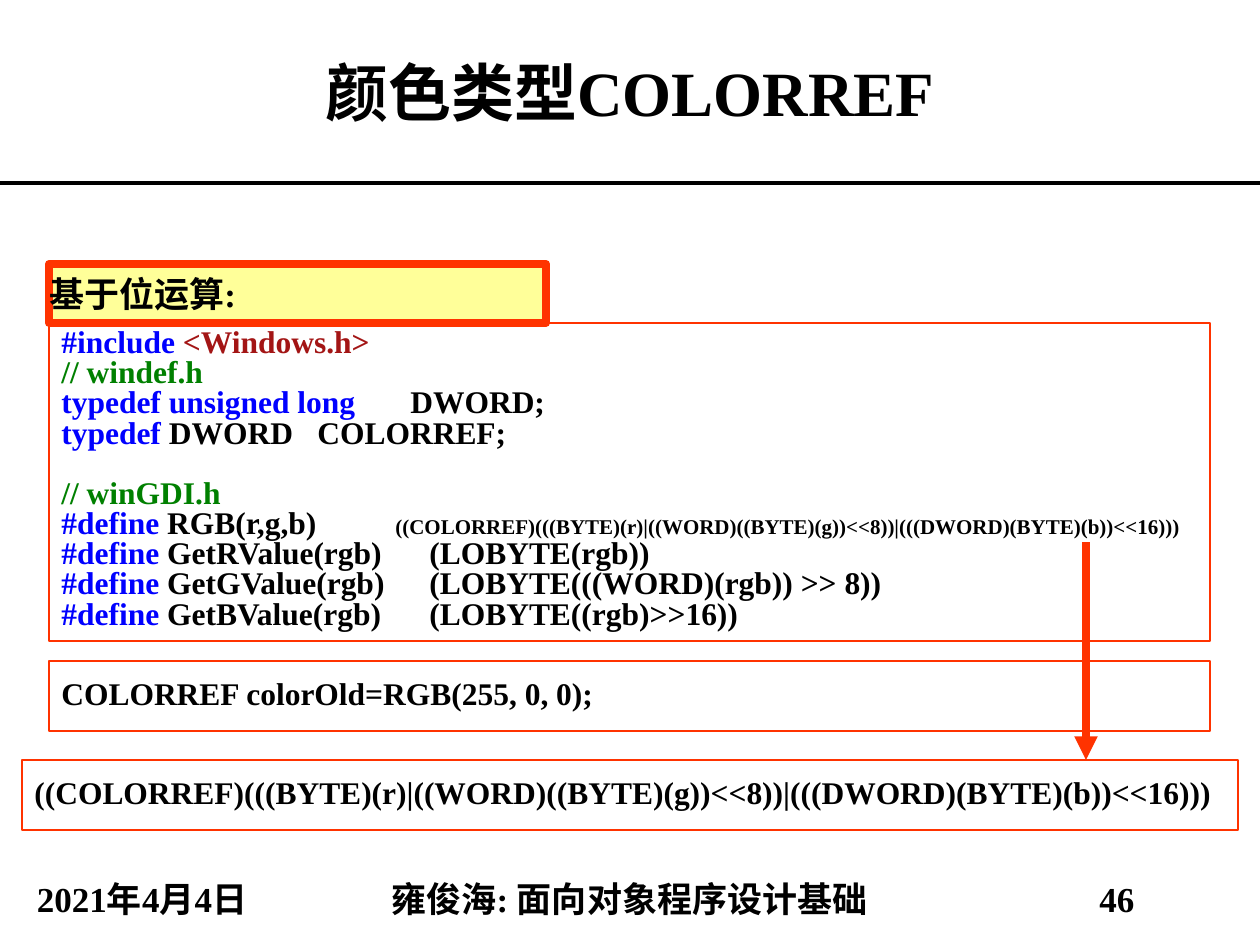
from pptx import Presentation
from pptx.dml.color import RGBColor
from pptx.enum.shapes import MSO_CONNECTOR, MSO_SHAPE
from pptx.enum.text import MSO_ANCHOR, PP_ALIGN
from pptx.oxml.ns import qn
from pptx.util import Pt
from lxml.etree import SubElement

PX = 914400 / 126
FONT = "Times New Roman"
BLACK, BLUE, GREEN, MAROON = "000000", "0000FF", "008000", "A31515"
RED, YELLOW = "FF3300", "FFFF99"

TITLE = "颜色类型COLORREF"
FOOTER = [
    ("2021年4月4日", 0, 284),
    ("雍俊海: 面向对象程序设计基础", 284, 691),
    ("46", 975, 284),
]
HEADING = "基于位运算:"
RGB_BODY = "((COLORREF)(((BYTE)(r)|((WORD)((BYTE)(g))<<8))|(((DWORD)(BYTE)(b))<<16)))"
CODE = [
    {"runs": [("#include ", BLUE, 18), ("<Windows.h>", MAROON, 18)]},
    {"runs": [("// windef.h", GREEN, 18)]},
    {"runs": [("typedef unsigned long", BLUE, 18), ("\tDWORD;", BLACK, 18)], "tab": 349},
    {"runs": [("typedef", BLUE, 18), (" DWORD\tCOLORREF;", BLACK, 18)], "tab": 256},
    {"runs": [("// winGDI.h", GREEN, 18)], "before": 17},
    {"runs": [("#define", BLUE, 18), (" RGB(r,g,b)\t", BLACK, 18), (RGB_BODY, BLACK, 12)],
     "tab": 334},
] + [
    {"runs": [("#define", BLUE, 18), (f" {name}(rgb)\t{body}", BLACK, 18)], "tab": 368}
    for name, body in [
        ("GetRValue", "(LOBYTE(rgb))"),
        ("GetGValue", "(LOBYTE(((WORD)(rgb)) >> 8))"),
        ("GetBValue", "(LOBYTE((rgb)>>16))"),
    ]
]
EXAMPLES = [
    ("COLORREF colorOld=RGB(255, 0, 0);", 49, 661, 1161),
    (RGB_BODY, 22, 760, 1216),
]


def px(n):
    return round(n * PX)


def color(value):
    return RGBColor.from_string(value)


def line(text, size):
    return [{"runs": [(text, BLACK, size)]}]


def write(sp, lines, align=PP_ALIGN.LEFT, spacing=None, anchor=MSO_ANCHOR.MIDDLE):
    tf = sp.text_frame
    tf.word_wrap = True
    tf.vertical_anchor = anchor
    for i, item in enumerate(lines):
        p = tf.paragraphs[0] if i == 0 else tf.add_paragraph()
        p.alignment = align
        if spacing:
            p.line_spacing = spacing
        if "before" in item:
            p.space_before = Pt(item["before"])
        if "tab" in item:
            tabs = SubElement(p._p.get_or_add_pPr(), qn("a:tabLst"))
            SubElement(tabs, qn("a:tab"), pos=str(px(item["tab"])), algn="l")
        for text, fill, size in item["runs"]:
            r = p.add_run()
            r.text = text
            r.font.name = FONT
            r.font.size = Pt(size)
            r.font.bold = True
            r.font.color.rgb = color(fill)
    return tf


def add_text(s, x, y, w, h, lines, **style):
    sp = s.shapes.add_textbox(px(x), px(y), px(w), px(h))
    return write(sp, lines, PP_ALIGN.CENTER, **style)


def add_box(s, x, y, w, h, lines, fill=None, weight=0.75, **style):
    sp = s.shapes.add_shape(MSO_SHAPE.RECTANGLE, px(x), px(y), px(w), px(h))
    sp.shadow.inherit = False
    if fill:
        sp.fill.solid()
        sp.fill.fore_color.rgb = color(fill)
    else:
        sp.fill.background()
    sp.line.color.rgb = color(RED)
    sp.line.width = Pt(weight)
    return write(sp, lines, **style)


def add_line(s, x1, y1, x2, y2, stroke, weight, arrow=False):
    cx = s.shapes.add_connector(MSO_CONNECTOR.STRAIGHT, px(x1), px(y1), px(x2), px(y2))
    cx.line.color.rgb = color(stroke)
    cx.line.width = Pt(weight)
    if arrow:
        SubElement(cx.line._get_or_add_ln(), qn("a:headEnd"), type="triangle")
    SubElement(cx._element.spPr, qn("a:effectLst"))


def main():
    prs = Presentation()
    prs.slide_width, prs.slide_height = px(1260), px(945)
    s = prs.slides.add_slide(prs.slide_layouts[6])

    add_text(s, 0, 0, 1260, 183, line(TITLE, 36))
    add_line(s, 0, 183, 1260, 183, BLACK, 2.25)
    for text, x, w in FOOTER:
        add_text(s, x, 876, w, 50, line(text, 20), spacing=0.9)

    tf = add_box(s, 49, 264, 497, 59, line(HEADING, 20), YELLOW, 4.5)
    tf.margin_left = tf.margin_right = tf.margin_top = tf.margin_bottom = 0
    add_box(s, 49, 323, 1161, 318, CODE, spacing=0.8, anchor=MSO_ANCHOR.TOP)
    for text, x, y, w in EXAMPLES:
        add_box(s, x, y, w, 70, line(text, 18), spacing=0.8)
    add_line(s, 1086, 760, 1086, 542, RED, 4.5, arrow=True)

    prs.save("out.pptx")


if __name__ == "__main__":
    main()
